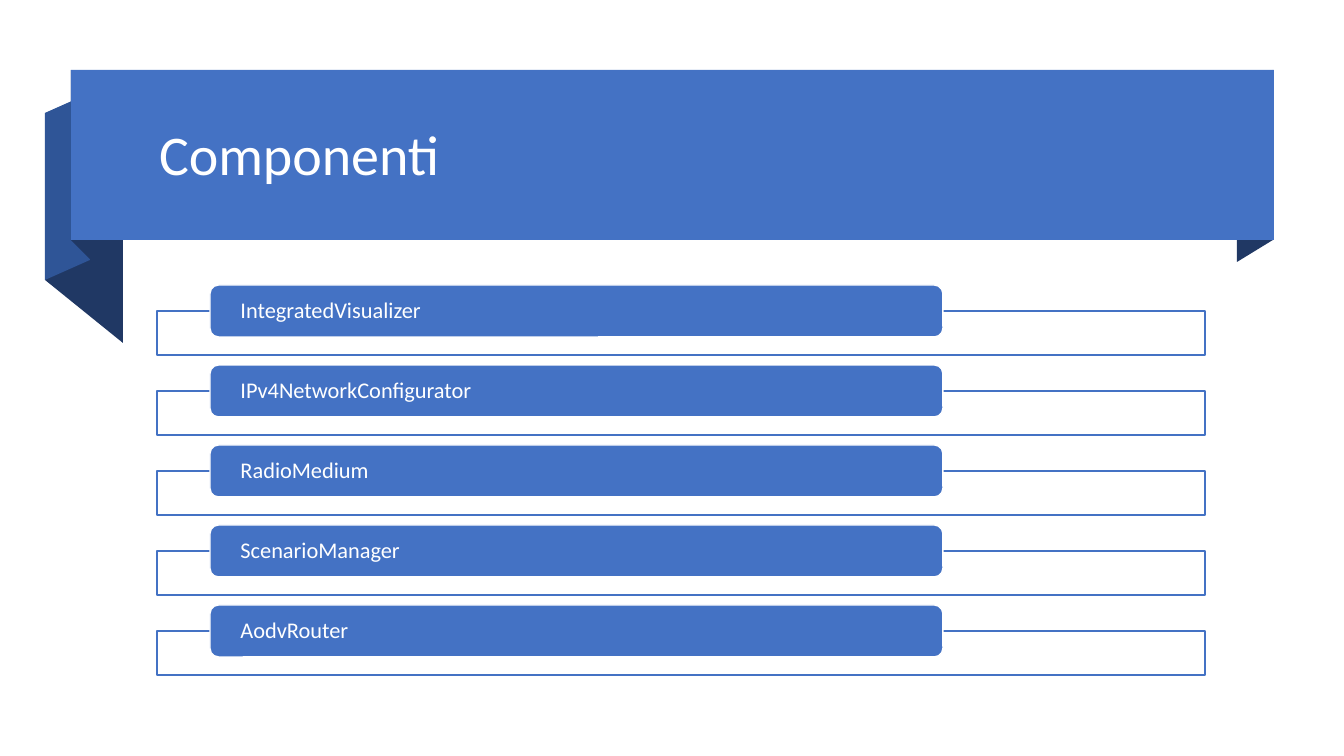
import pptx
import pptx.dml.color
import pptx.enum.shapes
import pptx.enum.text
import pptx.util
from lxml import etree
from pptx.oxml.ns import qn

RGBColor = pptx.dml.color.RGBColor
MSO_SHAPE = pptx.enum.shapes.MSO_SHAPE

WHITE = RGBColor(0xFF, 0xFF, 0xFF)
BLUE = RGBColor(0x44, 0x72, 0xC4)
MID_BLUE = RGBColor(0x2F, 0x55, 0x97)
NAVY = RGBColor(0x20, 0x38, 0x64)

EMU_PER_PX = 914400 / 100.8
SLIDE_WIDTH, SLIDE_HEIGHT = 1344, 756

COMPONENTS = [
    "IntegratedVisualizer",
    "IPv4NetworkConfigurator",
    "RadioMedium",
    "ScenarioManager",
    "AodvRouter",
]
FIRST_ROW_TOP = 285
ROW_PITCH = 80

RIBBON_FOLDS = [
    (NAVY, [(1273, 240), (1237, 262), (1237, 92), (1273, 70)]),
    (NAVY, [(123, 343), (45, 280), (45, 113), (123, 176)]),
    (MID_BLUE, [(90, 260), (45, 280), (45, 113), (90, 93)]),
    (NAVY, [(90, 259), (71, 240), (71, 70), (90, 89)]),
]


def px(length):
    return pptx.util.Emu(round(length * EMU_PER_PX))


class SlideBuilder:
    font = "Calibri"

    def __init__(self, slide):
        self.slide = slide

    def paint(self, shape, fill, line=None):
        shape.shadow.inherit = False
        shape.fill.solid()
        shape.fill.fore_color.rgb = fill
        if line is None:
            shape.line.fill.background()
        else:
            shape.line.color.rgb = line
            shape.line.width = pptx.util.Pt(1)

    def box(self, kind, left, top, width, height, fill, line=None):
        shape = self.slide.shapes.add_shape(
            kind, px(left), px(top), px(width), px(height))
        self.paint(shape, fill, line)
        return shape

    def polygon(self, points, fill):
        outline = self.slide.shapes.build_freeform(*points[0], scale=EMU_PER_PX)
        outline.add_line_segments(points[1:], close=True)
        self.paint(outline.convert_to_shape(), fill)

    def label(self, shape, text, size, inset):
        frame = shape.text_frame
        frame.text = text
        frame.word_wrap = True
        frame.vertical_anchor = pptx.enum.text.MSO_ANCHOR.MIDDLE
        frame.margin_left = frame.margin_right = px(inset)
        frame.margin_top = frame.margin_bottom = 0
        paragraph = frame.paragraphs[0]
        paragraph.alignment = pptx.enum.text.PP_ALIGN.LEFT
        paragraph.line_spacing = 0.9
        font = paragraph.runs[0].font
        font.name = self.font
        font.size = pptx.util.Pt(size)
        font.color.rgb = WHITE

    def title(self, text, left, top, width, height):
        """Fill the title placeholder and bring it in front of the ribbon."""
        title = self.slide.shapes.title
        title.left, title.top = px(left), px(top)
        title.width, title.height = px(width), px(height)
        self.label(title, text, size=40, inset=10)
        self.slide.shapes.element.append(title.element)

    def component(self, name, top):
        """Draw a labelled pill over the top edge of its open frame."""
        frame = self.box(MSO_SHAPE.RECTANGLE, 157, top + 26, 1048, 44, WHITE, BLUE)
        color = frame.element.spPr.find(qn("a:solidFill")).find(qn("a:srgbClr"))
        etree.SubElement(color, qn("a:alpha"), val="90000")
        pill = self.box(MSO_SHAPE.ROUNDED_RECTANGLE, 210, top, 733, 52, BLUE, WHITE)
        self.label(pill, name, size=16, inset=28)


def main():
    presentation = pptx.Presentation()
    presentation.slide_width = px(SLIDE_WIDTH)
    presentation.slide_height = px(SLIDE_HEIGHT)
    title_only = presentation.slide_layouts[5]
    builder = SlideBuilder(presentation.slides.add_slide(title_only))

    for color, points in RIBBON_FOLDS:
        builder.polygon(points, color)
    builder.box(MSO_SHAPE.RECTANGLE, 71, 70, 1203, 170, BLUE)
    builder.title("Componenti", 149, 84, 1103, 146)

    for row, name in enumerate(COMPONENTS):
        builder.component(name, FIRST_ROW_TOP + row * ROW_PITCH)

    presentation.save("out.pptx")


if __name__ == "__main__":
    main()
